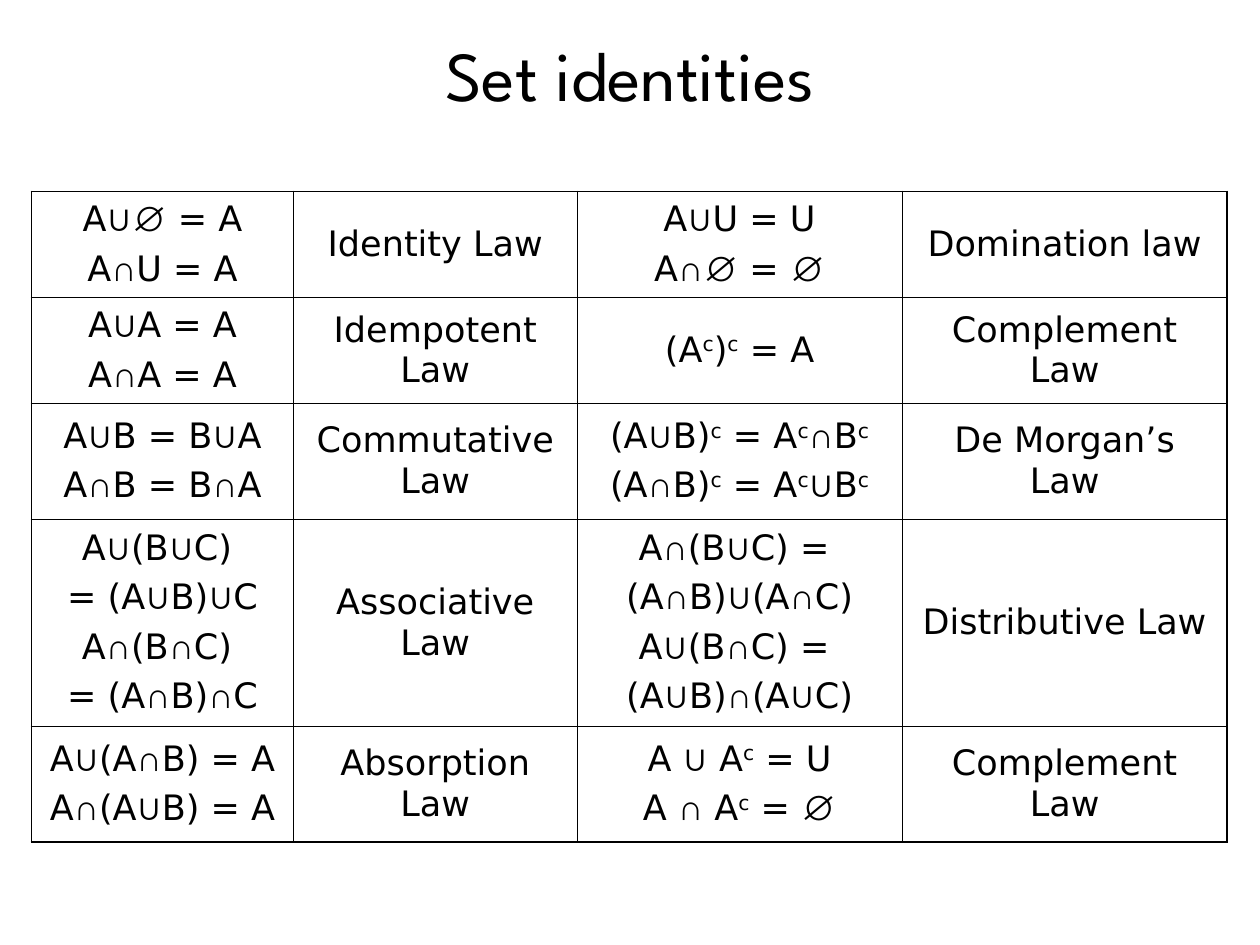
"""Build a slide with a table of set identities and the names of their laws."""
from dataclasses import dataclass
from itertools import groupby

from lxml import etree
from pptx import Presentation
from pptx import util as u
from pptx.dml.color import RGBColor
from pptx.enum import text
from pptx.oxml.ns import qn

BLACK = RGBColor(0x00, 0x00, 0x00)
BODY_FONT, SYMBOL_FONT, TITLE_FONT = "DejaVu Sans", "Arial", "League Spartan"
OUTER_LINE, INNER_LINE = u.Pt(1.08), u.Pt(0.45)
COLUMN_WIDTHS = (2.08, 2.25, 2.58, 2.58)
ROW_HEIGHTS = (0.84, 0.84, 0.92, 1.64, 0.92)
CELL_FORMAT = {
    "vertical_anchor": text.MSO_ANCHOR.MIDDLE,
    "margin_left": u.Inches(0.1),
    "margin_right": u.Inches(0.1),
    "margin_top": u.Inches(0.05),
    "margin_bottom": u.Inches(0.05),
}


@dataclass(frozen=True)
class Law:
    name: str
    formulas: tuple[str, ...]


LAW_ROWS = (
    (Law("Identity Law", ("A∪∅ = A", "A∩U = A")),
     Law("Domination law", ("A∪U = U", "A∩∅ = ∅"))),
    (Law("Idempotent Law", ("A∪A = A", "A∩A = A")),
     Law("Complement Law", ("(Ac)c = A",))),
    (Law("Commutative Law", ("A∪B = B∪A", "A∩B = B∩A")),
     Law("De Morgan’s Law", ("(A∪B)c = Ac∩Bc", "(A∩B)c = Ac∪Bc"))),
    (Law("Associative Law", ("A∪(B∪C) ", "= (A∪B)∪C", "A∩(B∩C) ", "= (A∩B)∩C")),
     Law("Distributive Law",
         ("A∩(B∪C) = ", "(A∩B)∪(A∩C)", "A∪(B∩C) = ", "(A∪B)∩(A∪C)"))),
    (Law("Absorption Law", ("A∪(A∩B) = A", "A∩(A∪B) = A")),
     Law("Complement Law", ("A ∪ Ac = U", "A ∩ Ac = ∅"))),
)


def set_format(target: object, values: dict) -> None:
    for name, value in values.items():
        setattr(target, name, value)


def add_run(paragraph, content: str, font_name: str, size: float):
    run = paragraph.add_run()
    run.text = content
    set_format(run.font, {"name": font_name, "size": u.Pt(size)})
    run.font.color.rgb = BLACK
    return run


def character_kind(character: str) -> str:
    return {"c": "superscript"}.get(character, "symbol" if character in "∪∩∅" else "plain")


def add_formula(paragraph, formula: str) -> None:
    for kind, characters in groupby(formula, character_kind):
        font_name = SYMBOL_FONT if kind == "symbol" else BODY_FONT
        run = add_run(paragraph, "".join(characters), font_name, 20)
        if kind == "superscript":
            run._r.get_or_add_rPr().set("baseline", "30000")


def add_borders(cell, widths: dict[str, int]) -> None:
    properties = cell._tc.get_or_add_tcPr()
    for side, width in widths.items():
        line = etree.SubElement(properties, qn(f"a:ln{side}"), w=str(int(width)))
        fill = etree.SubElement(line, qn("a:solidFill"))
        etree.SubElement(fill, qn("a:srgbClr"), val=str(BLACK))


def fill_cell(cell, lines: tuple[str, ...], is_formula: bool) -> None:
    set_format(cell, CELL_FORMAT)
    frame = cell.text_frame
    for index, line in enumerate(lines):
        paragraph = frame.add_paragraph() if index else frame.paragraphs[0]
        set_format(paragraph, {"alignment": text.PP_ALIGN.CENTER,
                               "space_before": u.Pt(5 if index else 0)})
        if is_formula:
            add_formula(paragraph, line)
        else:
            add_run(paragraph, line, BODY_FONT, 20)


def add_title(slide, title: str) -> None:
    shape = slide.shapes.add_textbox(
        u.Inches(0.25), u.Inches(0.17), u.Inches(9.5), u.Inches(0.83))
    set_format(shape.text_frame, {"word_wrap": True,
                                  "vertical_anchor": text.MSO_ANCHOR.MIDDLE})
    paragraph = shape.text_frame.paragraphs[0]
    paragraph.alignment = text.PP_ALIGN.CENTER
    add_run(paragraph, title, TITLE_FONT, 40)


def add_law_table(slide) -> None:
    row_count, column_count = len(ROW_HEIGHTS), len(COLUMN_WIDTHS)
    table = slide.shapes.add_table(
        row_count, column_count, u.Inches(0.25), u.Inches(1.52),
        u.Inches(sum(COLUMN_WIDTHS)), u.Inches(sum(ROW_HEIGHTS))).table
    set_format(table, {"first_row": False, "horz_banding": False})
    for column, width in zip(table.columns, COLUMN_WIDTHS):
        column.width = u.Inches(width)
    for row, height in zip(table.rows, ROW_HEIGHTS):
        row.height = u.Inches(height)
    for row_index, laws in enumerate(LAW_ROWS):
        contents = [lines for law in laws for lines in (law.formulas, (law.name,))]
        for column_index, lines in enumerate(contents):
            cell = table.cell(row_index, column_index)
            fill_cell(cell, lines, is_formula=column_index % 2 == 0)
            on_edge = {"L": column_index == 0, "R": column_index == column_count - 1,
                       "T": row_index == 0, "B": row_index == row_count - 1}
            add_borders(cell, {side: OUTER_LINE if edge else INNER_LINE
                               for side, edge in on_edge.items()})
            cell.fill.background()


def main() -> None:
    presentation = Presentation()
    set_format(presentation, {"slide_width": u.Inches(10), "slide_height": u.Inches(7.5)})
    slide = presentation.slides.add_slide(presentation.slide_layouts[6])
    add_title(slide, "Set identities")
    add_law_table(slide)
    presentation.save("out.pptx")


if __name__ == "__main__":
    main()
